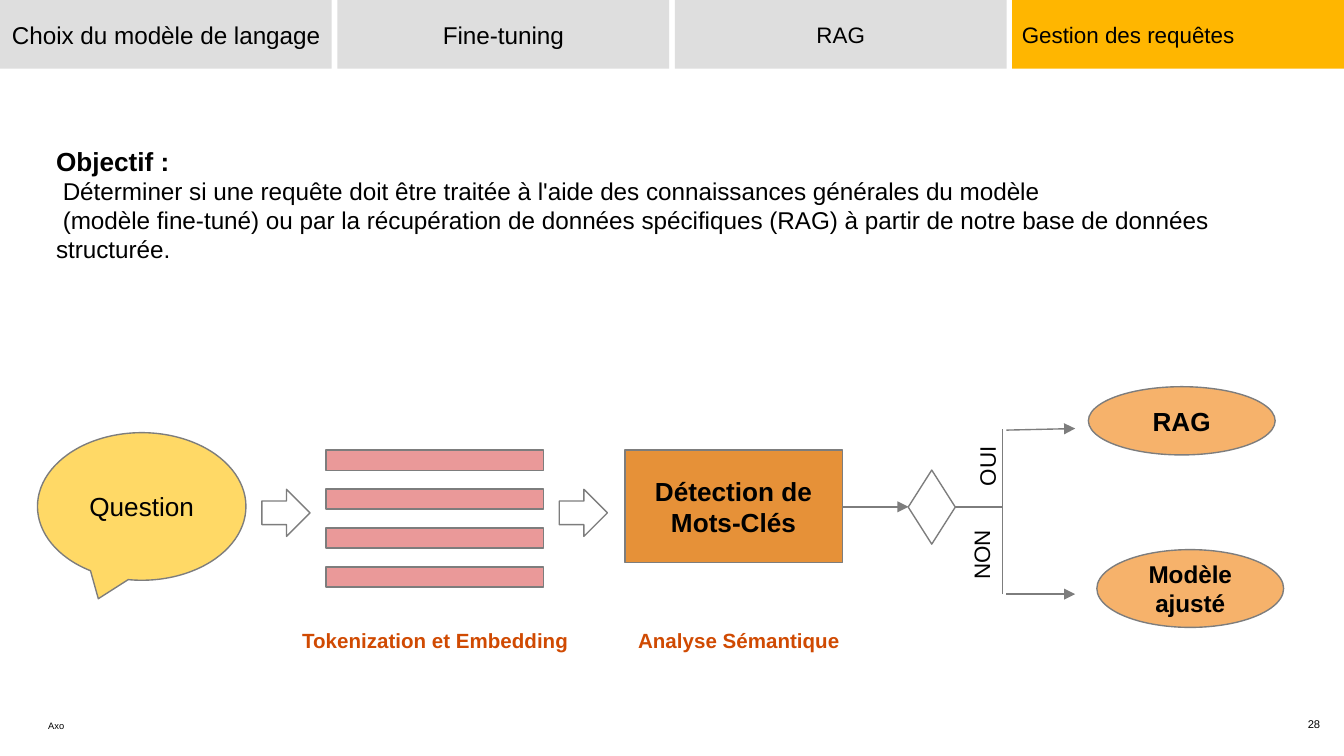
"""Build the slide on how a query is routed between RAG and the fine-tuned model."""
from typing import NamedTuple, Optional

from lxml.etree import SubElement
from pptx import Presentation
from pptx.dml.color import RGBColor
from pptx.enum.shapes import MSO_CONNECTOR, MSO_SHAPE as Geo
from pptx.enum.text import MSO_ANCHOR as Anchor, PP_ALIGN as Align
from pptx.oxml.ns import qn
from pptx.util import Cm, Pt

GRAY = "7D7D7D"
BLACK = "000000"
RUST = "D04A02"


class Box(NamedTuple):
    left: float
    top: float
    width: float
    height: float


class Tab(NamedTuple):
    title: str
    size: int
    fill: str = "DEDEDE"
    align: Align = Align.CENTER


class Node(NamedTuple):
    box: Box
    geometry: Geo
    fill: str
    text: str = ""
    size: int = 14
    bold: bool = True
    rotation: int = 0


class Link(NamedTuple):
    x1: float
    y1: float
    x2: float
    y2: float
    arrow: bool = False


class Label(NamedTuple):
    box: Box
    text: str
    size: int
    color: str = BLACK
    bold: bool = False
    rotation: int = 0
    inset: float = 0.25
    anchor: Anchor = Anchor.TOP
    align: Align = Align.LEFT


def rgb(value: str) -> RGBColor:
    """Turn a hex string into a colour."""
    return RGBColor.from_string(value)


def write(shape, text: str, *, size: int, color: str = BLACK, bold: bool = False,
          align: Align = Align.CENTER, anchor: Anchor = Anchor.MIDDLE,
          inset: float = 0.25, inset_y: Optional[float] = None) -> None:
    """Append one formatted paragraph to a shape."""
    frame = shape.text_frame
    frame.word_wrap = True
    frame.vertical_anchor = anchor
    frame.margin_left = frame.margin_right = Cm(inset)
    frame.margin_top = frame.margin_bottom = Cm(inset if inset_y is None else inset_y)
    paragraph = frame.add_paragraph() if frame.text else frame.paragraphs[0]
    paragraph.alignment = align
    run = paragraph.add_run()
    run.text = text
    run.font.name = "Arial"
    run.font.size = Pt(size)
    run.font.bold = bold
    run.font.color.rgb = rgb(color)


def draw_shape(shapes, box: Box, geometry: Geo, fill: str, line: Optional[str] = None):
    """Add a filled preset shape, outlined if a line colour is given."""
    shape = shapes.add_shape(geometry, *map(Cm, box))
    shape.shadow.inherit = False
    shape.fill.solid()
    shape.fill.fore_color.rgb = rgb(fill)
    if line:
        shape.line.color.rgb = rgb(line)
        shape.line.width = Pt(0.75)
    else:
        shape.line.fill.background()
    return shape


def draw_tab(shapes, index: int, tab: Tab) -> None:
    """Add one tab of the top navigation."""
    shape = draw_shape(shapes, Box(6.377 * index, 0, 6.27, 1.3), Geo.RECTANGLE, tab.fill)
    write(shape, tab.title, size=tab.size, align=tab.align, inset=0.18, inset_y=0.1)


def draw_node(shapes, node: Node) -> None:
    """Add one step of the flow."""
    shape = draw_shape(shapes, node.box, node.geometry, node.fill, GRAY)
    shape.rotation = node.rotation
    if node.text:
        write(shape, node.text, size=node.size, bold=node.bold)


def draw_link(shapes, link: Link) -> None:
    """Add a straight line, with an arrowhead at its end if asked."""
    line = shapes.add_connector(
        MSO_CONNECTOR.STRAIGHT, *map(Cm, (link.x1, link.y1, link.x2, link.y2)))
    line.line.color.rgb = rgb(GRAY)
    line.line.width = Pt(0.75)
    if link.arrow:
        SubElement(line.line._get_or_add_ln(), qn("a:tailEnd"), type="triangle")
    SubElement(line._element.spPr, qn("a:effectLst"))


def draw_label(shapes, label: Label):
    """Add a text box."""
    shape = shapes.add_textbox(*map(Cm, label.box))
    shape.rotation = label.rotation
    write(shape, label.text, size=label.size, color=label.color, bold=label.bold,
          align=label.align, anchor=label.anchor, inset=label.inset)
    return shape


TABS = [
    Tab("Choix du modèle de langage", 13),
    Tab("Fine-tuning", 13),
    Tab("RAG", 12),
    Tab("Gestion des requêtes", 12, "FFB600", Align.LEFT),
]
TOKEN_BARS = [
    Node(Box(6.16, 8.51 + 0.735 * row, 4.11, 0.38), Geo.RECTANGLE, "EA9999")
    for row in range(4)
]
STEP_ARROWS = [
    Node(Box(left, 9.25, 0.91, 0.89), Geo.RIGHT_ARROW, "FFFFFF") for left in (4.95, 10.57)
]
STEPS = [
    Node(Box(0.71, 8.18, 3.94, 2.79), Geo.OVAL_CALLOUT, "FFD966", "Question", bold=False),
    Node(Box(11.81, 8.51, 4.11, 2.13), Geo.RECTANGLE, "E69138", "Détection de Mots-Clés"),
    Node(Box(16.91, 9.14, 1.4, 0.89), Geo.DIAMOND, "FFFFFF", rotation=270),
    Node(Box(20.57, 7.31, 3.53, 1.29), Geo.FLOWCHART_CONNECTOR, "F6B26B", "RAG"),
    Node(Box(20.73, 10.39, 3.53, 1.47), Geo.FLOWCHART_CONNECTOR, "F6B26B",
         "Modèle ajusté", 13),
]
LINKS = [
    Link(15.93, 9.58, 17.17, 9.58, arrow=True),
    Link(18.05, 9.58, 18.95, 9.58),
    Link(18.95, 11.23, 18.95, 8.1),
    Link(19.02, 8.13, 20.32, 8.1, arrow=True),
    Link(19.02, 11.23, 20.32, 11.23, arrow=True),
]
LABELS = [
    Label(Box(5.46, 11.63, 7.21, 0.99), "Tokenization et Embedding", 11, RUST, True),
    Label(Box(11.81, 11.63, 5.28, 0.99), "Analyse Sémantique", 11, RUST, True),
    Label(Box(17.15, 7.7, 2.74, 0.74), "OUI", 12, rotation=270),
    Label(Box(17.75, 10.03, 1.47, 0.89), "NON", 12, rotation=270),
    Label(Box(0.91, 13.54, 11.4, 0.28), "Axo", 5, inset=0, anchor=Anchor.BOTTOM),
    Label(Box(19.69, 13.69, 5.26, 0.13), "28", 6, inset=0, anchor=Anchor.BOTTOM,
          align=Align.RIGHT),
]
OBJECTIVE = Label(Box(0.81, 2.49, 23.77, 2.26), "Objectif :", 14, bold=True)
OBJECTIVE_LINES = [
    " Déterminer si une requête doit être traitée à l'aide des connaissances "
    "générales du modèle",
    " (modèle fine-tuné) ou par la récupération de données spécifiques (RAG) "
    "à partir de notre base de données structurée.",
]


def main() -> None:
    """Draw the slide and save it."""
    deck = Presentation()
    deck.slide_width, deck.slide_height = Cm(25.4), Cm(14.29)
    shapes = deck.slides.add_slide(deck.slide_layouts[6]).shapes
    for index, tab in enumerate(TABS):
        draw_tab(shapes, index, tab)
    objective = draw_label(shapes, OBJECTIVE)
    for sentence in OBJECTIVE_LINES:
        write(objective, sentence, size=13, align=Align.LEFT, anchor=Anchor.TOP)
    for node in STEPS + STEP_ARROWS + TOKEN_BARS:
        draw_node(shapes, node)
    for link in LINKS:
        draw_link(shapes, link)
    for label in LABELS:
        draw_label(shapes, label)
    deck.save("out.pptx")


if __name__ == "__main__":
    main()
